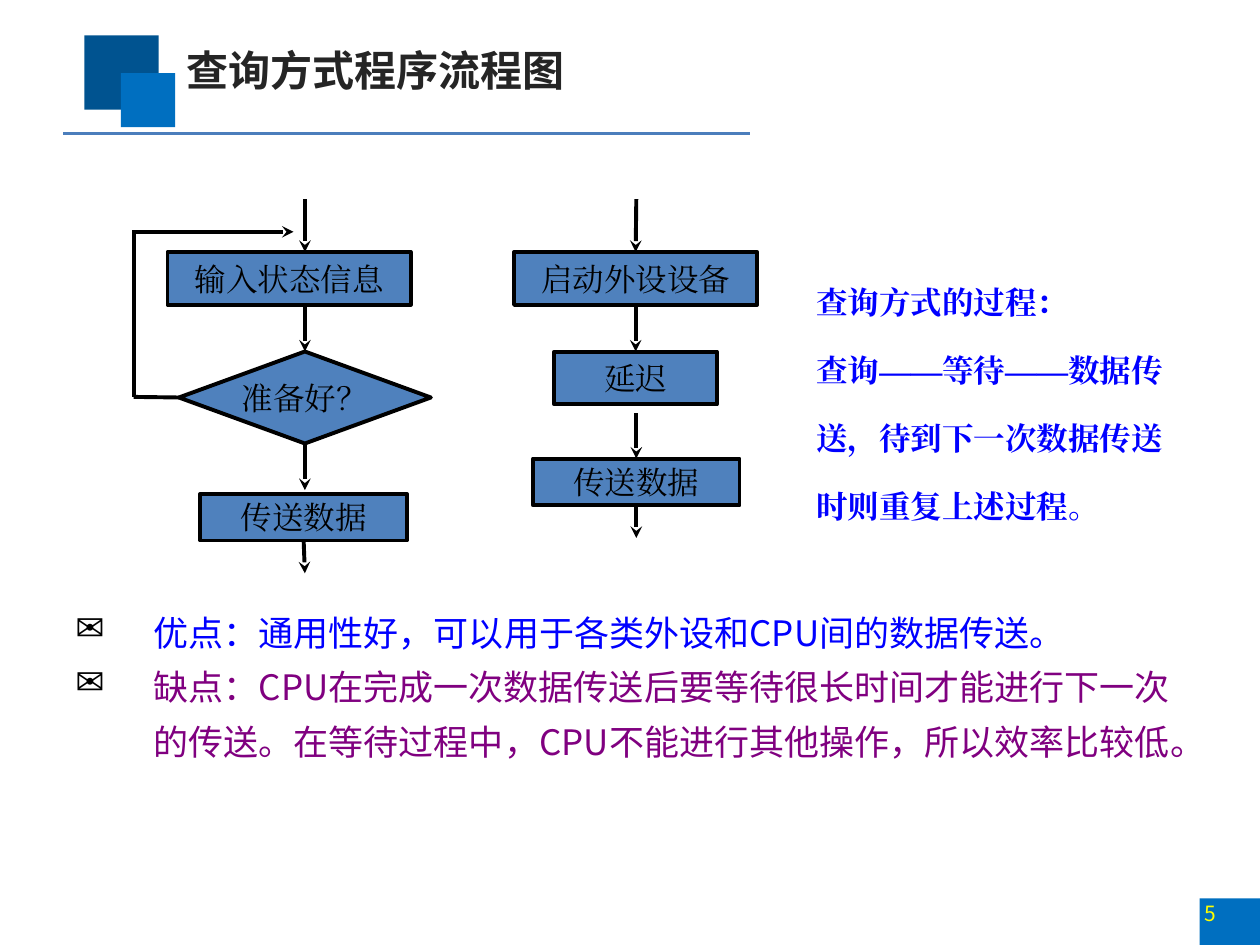
from dataclasses import dataclass
from typing import Optional

from lxml import etree
from pptx import Presentation
from pptx.dml.color import RGBColor
from pptx.enum.shapes import MSO_CONNECTOR, MSO_SHAPE
from pptx.enum.text import MSO_ANCHOR, MSO_AUTO_SIZE, PP_ALIGN
from pptx.oxml.ns import qn
from pptx.util import Inches, Pt

RECT, DIAMOND = MSO_SHAPE.RECTANGLE, MSO_SHAPE.DIAMOND
STRAIGHT = MSO_CONNECTOR.STRAIGHT
TOP, MIDDLE, BOTTOM = MSO_ANCHOR.TOP, MSO_ANCHOR.MIDDLE, MSO_ANCHOR.BOTTOM
LEFT, CENTER = PP_ALIGN.LEFT, PP_ALIGN.CENTER
FIT, NO_FIT = MSO_AUTO_SIZE.SHAPE_TO_FIT_TEXT, MSO_AUTO_SIZE.NONE
SITE_TOP, SITE_LEFT, SITE_BOTTOM = 0, 1, 2
SANS, SERIF = "Noto Sans CJK SC", "Times New Roman"
BLACK, BLUE, PURPLE = "000000", "0000FF", "800080"
LEFT_X, RIGHT_X = 2.42, 5.05


@dataclass
class Box:
    key: str
    text: str
    x: float
    y: float
    w: float
    h: float
    kind: int = RECT


@dataclass
class Link:
    x1: float
    y1: float
    x2: float
    y2: float
    arrow: bool = True
    begin: Optional[tuple] = None
    end: Optional[tuple] = None


BOXES = [
    Box("input", "输入状态信息", 1.33, 2, 1.93, 0.42),
    Box("ready", "准备好？", 1.42, 2.79, 2, 0.73, DIAMOND),
    Box("send", "传送数据", 1.59, 3.92, 1.64, 0.37),
    Box("start", "启动外设设备", 4.08, 2, 1.93, 0.42),
    Box("delay", "延迟", 4.4, 2.79, 1.29, 0.42),
    Box("send2", "传送数据", 4.23, 3.64, 1.64, 0.37),
]

LINKS = [
    Link(LEFT_X, 1.58, LEFT_X, 2),
    Link(LEFT_X, 2.42, LEFT_X, 2.79, end=("ready", SITE_TOP)),
    Link(LEFT_X, 3.52, LEFT_X, 3.89, begin=("ready", SITE_BOTTOM)),
    Link(LEFT_X, 4.28, LEFT_X, 4.55, begin=("send", SITE_BOTTOM)),
    Link(1.05, 1.84, 2.33, 1.84),
    Link(1.06, 1.84, 1.06, 3.15, False),
    Link(1.06, 3.15, 1.42, 3.15, False, end=("ready", SITE_LEFT)),
    Link(RIGHT_X, 1.58, RIGHT_X, 2, end=("start", SITE_TOP)),
    Link(RIGHT_X, 2.42, RIGHT_X, 2.79, begin=("start", SITE_BOTTOM),
         end=("delay", SITE_TOP)),
    Link(RIGHT_X, 3.28, RIGHT_X, 3.64, end=("send2", SITE_TOP)),
    Link(RIGHT_X, 4.01, RIGHT_X, 4.27, begin=("send2", SITE_BOTTOM)),
]

PROCESS = [
    "查询方式的过程：",
    "查询——等待——数据传送，待到下一次数据传送时则重复上述过程。",
]
REMARKS = [
    ("优点：通用性好，可以用于各类外设和CPU间的数据传送。", BLUE),
    ("缺点：CPU在完成一次数据传送后要等待很长时间才能进行下一次的传送。"
     "在等待过程中，CPU不能进行其他操作，所以效率比较低。", PURPLE),
]


def rgb(color: str) -> RGBColor:
    return RGBColor.from_string(color)


def add_run(p, text: str, size: float, font: str, color: str, bold=False):
    r = p.add_run()
    r.text = text
    r.font.size = Pt(size)
    r.font.name = font
    r.font.bold = bold
    r.font.color.rgb = rgb(color)
    etree.SubElement(r.font._element, qn("a:ea"), typeface=font)
    return r


def set_frame(tf, anchor, wrap=True, fit=NO_FIT, inset_x=0.1, inset_y=0.05):
    tf.auto_size = fit
    tf.word_wrap = wrap
    tf.vertical_anchor = anchor
    tf.margin_left = tf.margin_right = Inches(inset_x)
    tf.margin_top = tf.margin_bottom = Inches(inset_y)


def add_bullet(p, char: str, indent: float, color: str):
    pPr = p._p.get_or_add_pPr()
    pPr.set("marL", str(Inches(indent)))
    pPr.set("indent", str(-Inches(indent)))
    clr = etree.SubElement(pPr, qn("a:buClr"))
    etree.SubElement(clr, qn("a:srgbClr"), val=color)
    etree.SubElement(pPr, qn("a:buChar"), char=char)


def paragraph(tf, i: int):
    return tf.add_paragraph() if i else tf.paragraphs[0]


def add_text_box(shapes, x: float, y: float, w: float, h: float, **frame):
    sp = shapes.add_textbox(Inches(x), Inches(y), Inches(w), Inches(h))
    set_frame(sp.text_frame, TOP, **frame)
    return sp.text_frame


def add_block(shapes, kind: int, x: float, y: float, w: float, h: float, fill: str):
    sp = shapes.add_shape(kind, Inches(x), Inches(y), Inches(w), Inches(h))
    sp.shadow.inherit = False
    sp.fill.solid()
    sp.fill.fore_color.rgb = rgb(fill)
    sp.line.fill.background()
    return sp


def add_box(shapes, box: Box):
    sp = add_block(shapes, box.kind, box.x, box.y, box.w, box.h, "4F81BD")
    sp.line.color.rgb = rgb(BLACK)
    sp.line.width = Pt(2.25)
    set_frame(sp.text_frame, MIDDLE, wrap=False)
    p = sp.text_frame.paragraphs[0]
    p.alignment = CENTER
    add_run(p, box.text, 18, SERIF, BLACK)
    return sp


def add_link(shapes, link: Link, boxes: dict, color=BLACK, width=2.25):
    cxn = shapes.add_connector(STRAIGHT, Inches(link.x1), Inches(link.y1),
                               Inches(link.x2), Inches(link.y2))
    if link.begin:
        key, site = link.begin
        cxn.begin_connect(boxes[key], site)
    if link.end:
        key, site = link.end
        cxn.end_connect(boxes[key], site)
    cxn.line.color.rgb = rgb(color)
    cxn.line.width = Pt(width)
    if link.arrow:
        etree.SubElement(cxn.line._get_or_add_ln(), qn("a:tailEnd"), type="stealth")
    etree.SubElement(cxn._element.spPr, qn("a:effectLst"))


def main():
    prs = Presentation()
    prs.slide_width, prs.slide_height = Inches(10), Inches(7.5)
    slide = prs.slides.add_slide(prs.slide_layouts[5])
    shapes = slide.shapes

    add_block(shapes, RECT, 9.52, 7.13, 0.48, 0.37, "006FC0")
    add_block(shapes, RECT, 0.67, 0.28, 0.59, 0.59, "005390")
    add_block(shapes, RECT, 0.96, 0.58, 0.43, 0.43, "006FC0")
    add_link(shapes, Link(0.5, 1.06, 5.95, 1.06, False), {}, "4B7EBC", 1.5)

    title = shapes.title
    title.left, title.top = Inches(1.43), Inches(0.3)
    title.width, title.height = Inches(5.27), Inches(0.5)
    set_frame(title.text_frame, BOTTOM, fit=FIT, inset_x=0.05)
    p = title.text_frame.paragraphs[0]
    p.alignment = LEFT
    add_run(p, "查询方式程序流程图", 24, SANS, "252525", True)

    boxes = {box.key: add_box(shapes, box) for box in BOXES}
    for link in LINKS:
        add_link(shapes, link, boxes)

    tf = add_text_box(shapes, 6.38, 1.96, 3.05, 2.28, fit=FIT)
    for i, text in enumerate(PROCESS):
        p = paragraph(tf, i)
        p.line_spacing = 1.8
        add_run(p, text, 18, SERIF, BLUE, True)

    tf = add_text_box(shapes, 0.5, 4.7, 9, 1.85, fit=FIT)
    for i, (text, color) in enumerate(REMARKS):
        p = paragraph(tf, i)
        add_bullet(p, "✉", 0.62, BLACK)
        p.line_spacing = 1.3
        add_run(p, text, 20, SANS, color)

    tf = add_text_box(shapes, 9.53, 7.15, 0.47, 0.32, inset_x=0.03, inset_y=0)
    add_run(tf.paragraphs[0], "5", 12, SANS, "FFFF00")

    prs.save("out.pptx")


if __name__ == "__main__":
    main()
